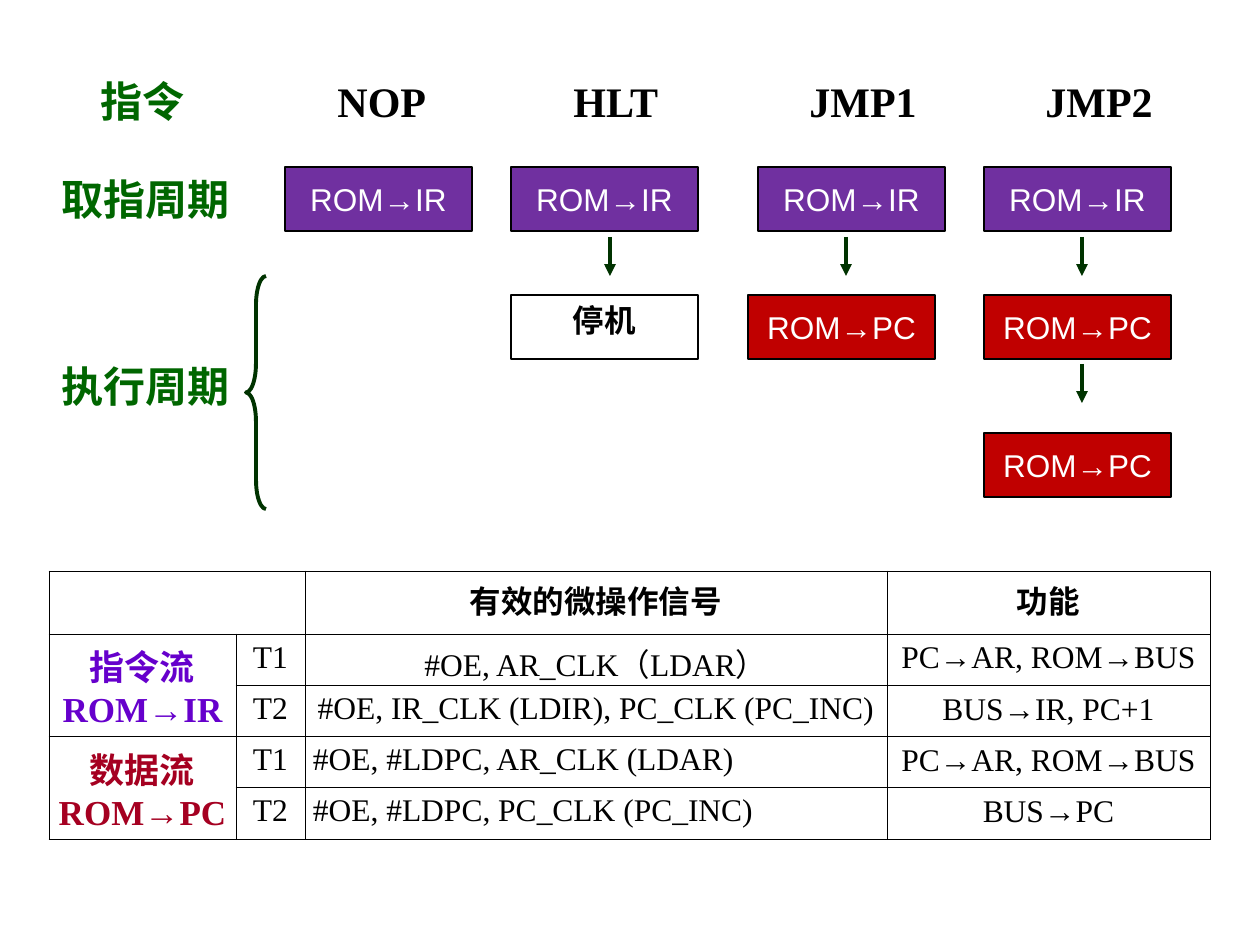
from dataclasses import dataclass
from typing import NamedTuple

from lxml import etree
from pptx import Presentation
from pptx.dml.color import RGBColor
from pptx.enum.shapes import MSO_CONNECTOR, MSO_SHAPE
from pptx.enum.text import MSO_ANCHOR, PP_ALIGN
from pptx.oxml.ns import qn
from pptx.util import Emu, Pt

RECT, BRACE = MSO_SHAPE.RECTANGLE, MSO_SHAPE.LEFT_BRACE
LINE = MSO_CONNECTOR.STRAIGHT
LEFT, MID = PP_ALIGN.LEFT, PP_ALIGN.CENTER
TOP, CORE = MSO_ANCHOR.TOP, MSO_ANCHOR.MIDDLE
SCALE = 914400 / 126


@dataclass(frozen=True)
class Theme:
    black: str = "000000"
    white: str = "FFFFFF"
    green: str = "006600"
    dark: str = "003300"
    purple: str = "7030A0"
    red: str = "C00000"
    violet: str = "6600CC"
    wine: str = "A50021"
    sans: str = "Arial"
    serif: str = "Times New Roman"
    head: int = 24
    flow: int = 20
    body: int = 18
    edge: float = 0.75
    grid: float = 0.45
    bold: float = 2.25


THEME = Theme()


class Font(NamedTuple):
    face: str
    size: int
    color: str
    bold: bool = False


class Label(NamedTuple):
    text: str
    x: int
    y: int
    wide: int
    font: Font


class Box(NamedTuple):
    text: str
    x: int
    y: int
    fill: str
    font: Font
    anchor: object = CORE


class Cell(NamedTuple):
    row: int
    col: int
    text: str
    font: Font
    align: object = MID


def px(n: int) -> Emu:
    return Emu(round(n * SCALE))


def rgb(code: str) -> RGBColor:
    return RGBColor.from_string(code)


def add_run(para, text: str, font: Font) -> None:
    run = para.add_run()
    run.text = text
    run.font.name, run.font.size = font.face, Pt(font.size)
    run.font.bold = font.bold
    run.font.color.rgb = rgb(font.color)


def add_label(slide, item: Label) -> None:
    shape = slide.shapes.add_textbox(px(item.x), px(item.y), px(item.wide), px(63))
    shape.text_frame.word_wrap = True
    add_run(shape.text_frame.paragraphs[0], item.text, item.font)


def add_box(slide, item: Box) -> None:
    shape = slide.shapes.add_shape(RECT, px(item.x), px(item.y), px(187), px(64))
    shape.shadow.inherit = False
    shape.fill.solid()
    shape.fill.fore_color.rgb = rgb(item.fill)
    shape.line.color.rgb = rgb(THEME.black)
    shape.line.width = Pt(THEME.edge)
    frame = shape.text_frame
    frame.word_wrap = True
    frame.vertical_anchor = item.anchor
    para = frame.paragraphs[0]
    para.alignment = MID
    add_run(para, item.text, item.font)


def add_arrow(slide, x: int, y: int) -> None:
    line = slide.shapes.add_connector(LINE, px(x), px(y), px(x), px(y + 39))
    line.line.color.rgb = rgb(THEME.dark)
    line.line.width = Pt(THEME.bold)
    etree.SubElement(line.line._get_or_add_ln(), qn("a:tailEnd"), type="triangle")
    etree.SubElement(line._element.spPr, qn("a:effectLst"))


def add_brace(slide, x: int, y: int, wide: int, high: int) -> None:
    shape = slide.shapes.add_shape(BRACE, px(x), px(y), px(wide), px(high))
    shape.adjustments[0] = 1.45
    shape.shadow.inherit = False
    shape.fill.background()
    shape.line.color.rgb = rgb(THEME.dark)
    shape.line.width = Pt(THEME.bold)


def style_cell(cell) -> None:
    cell.margin_left = cell.margin_right = px(8)
    cell.margin_top, cell.margin_bottom = px(6), px(0)
    props = cell._tc.get_or_add_tcPr()
    for side in ("lnL", "lnR", "lnT", "lnB"):
        edge = etree.SubElement(props, qn(f"a:{side}"), w=str(Pt(THEME.grid)))
        fill = etree.SubElement(edge, qn("a:solidFill"))
        etree.SubElement(fill, qn("a:srgbClr"), val=THEME.black)
    cell.fill.background()


def fill_cell(cell, item: Cell) -> None:
    frame = cell.text_frame
    for i, line in enumerate(item.text.split("\n")):
        para = frame.add_paragraph() if i else frame.paragraphs[0]
        para.alignment = item.align
        # Arrows are set in the sans face
        for j, part in enumerate(line.split("→")):
            if j:
                add_run(para, "→", item.font._replace(face=THEME.sans))
            add_run(para, part, item.font)


def add_grid(slide, cols: list[int], rows: list[int], cells: list[Cell]) -> None:
    frame = slide.shapes.add_table(len(rows), len(cols), px(49), px(571),
                                   px(sum(cols)), px(sum(rows)))
    table = frame.table
    table.first_row = table.horz_banding = False
    for col, wide in zip(table.columns, cols):
        col.width = px(wide)
    for row, high in zip(table.rows, rows):
        row.height = px(high)
    for cell in table.iter_cells():
        style_cell(cell)
    table.cell(0, 0).merge(table.cell(0, 1))
    for top in (1, 3):
        table.cell(top, 0).merge(table.cell(top + 1, 0))
    for item in cells:
        fill_cell(table.cell(item.row, item.col), item)


def main() -> None:
    deck = Presentation()
    deck.slide_width, deck.slide_height = px(1260), px(945)
    slide = deck.slides.add_slide(deck.slide_layouts[6])

    # Signal table
    body = Font(THEME.serif, THEME.body, THEME.black)
    strong = body._replace(bold=True)
    flow = strong._replace(size=THEME.flow)
    cells = [
        Cell(0, 2, "有效的微操作信号", strong),
        Cell(0, 3, "功能", strong),
        Cell(1, 0, "指令流\nROM→IR", flow._replace(color=THEME.violet)),
        Cell(3, 0, "数据流\nROM→PC", flow._replace(color=THEME.wine)),
        Cell(1, 2, "#OE, AR_CLK（LDAR）", body),
        Cell(2, 2, "#OE, IR_CLK (LDIR), PC_CLK (PC_INC)", body),
        Cell(3, 2, "#OE, #LDPC, AR_CLK (LDAR)", body, LEFT),
        Cell(4, 2, "#OE, #LDPC, PC_CLK (PC_INC)", body, LEFT),
        Cell(2, 3, "BUS→IR, PC+1", body),
        Cell(4, 3, "BUS→PC", body),
    ]
    for top in (1, 3):
        cells += [Cell(top, 1, "T1", body), Cell(top + 1, 1, "T2", body),
                  Cell(top, 3, "PC→AR, ROM→BUS", body)]
    add_grid(slide, [187, 69, 582, 323], [63, 51, 51, 51, 52], cells)

    # Cycle boxes
    light = Font(THEME.sans, THEME.body, THEME.white)
    halt = Font(THEME.sans, THEME.body, THEME.black, True)
    for x in (285, 511, 758, 984):
        add_box(slide, Box("ROM→IR", x, 167, THEME.purple, light))
    add_box(slide, Box("停机", 511, 295, THEME.white, halt, TOP))
    for x, y in ((748, 295), (984, 295), (984, 433)):
        add_box(slide, Box("ROM→PC", x, y, THEME.red, light))

    # Arrows and brace
    for x, y in ((610, 237), (846, 237), (1082, 237), (1082, 364)):
        add_arrow(slide, x, y)
    add_brace(slide, 246, 276, 20, 233)

    # Column heads and row names
    head = Font(THEME.serif, THEME.head, THEME.black, True)
    for i, name in enumerate(("NOP", "HLT", "JMP1", "JMP2")):
        add_label(slide, Label(name, 325 + 236 * i, 69, 144, head))
    side = Font(THEME.sans, THEME.head, THEME.green, True)
    add_label(slide, Label("指令", 88, 69, 122, side))
    for name, y in (("取指周期", 167), ("执行周期", 354)):
        add_label(slide, Label(name, 49, y, 197, side))

    deck.save("out.pptx")


if __name__ == "__main__":
    main()
